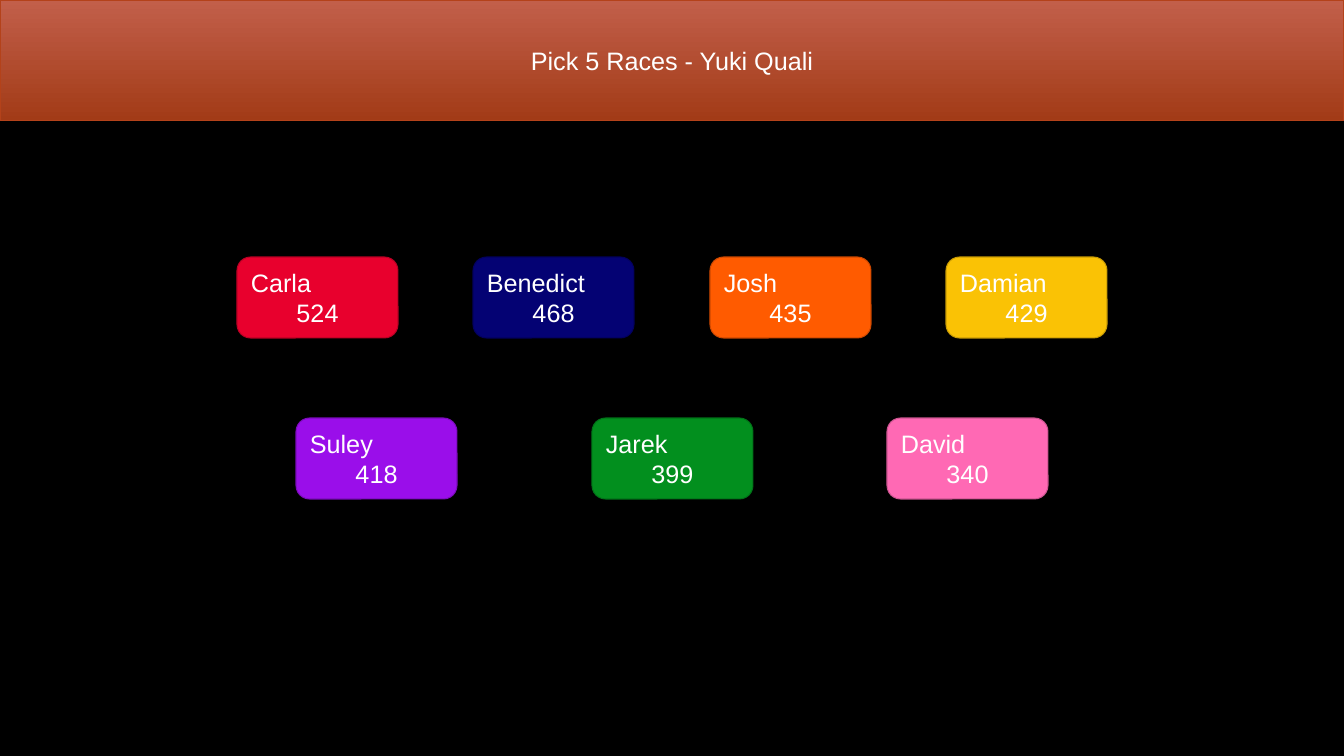
from pptx import Presentation
from pptx.dml.color import RGBColor
from pptx.enum.shapes import MSO_SHAPE
from pptx.enum.text import MSO_ANCHOR, PP_ALIGN
from pptx.util import Emu, Pt

SLIDE_WIDTH, SLIDE_HEIGHT = 1344, 756
EMU_PER_PX = 12192000 / SLIDE_WIDTH
CARD_WIDTH, CARD_HEIGHT = 161, 81
BANNER_HEIGHT = 121

BLACK = RGBColor(0x00, 0x00, 0x00)
WHITE = RGBColor(0xFF, 0xFF, 0xFF)
BANNER_TOP = RGBColor(0xC2, 0x5F, 0x4A)
BANNER_BOTTOM = RGBColor(0xA2, 0x3B, 0x17)
BANNER_LINE = RGBColor(0xB4, 0x42, 0x1A)
RED = RGBColor(0xE8, 0x00, 0x2D)
NAVY = RGBColor(0x04, 0x02, 0x73)
ORANGE = RGBColor(0xFF, 0x5B, 0x00)
YELLOW = RGBColor(0xFA, 0xC2, 0x05)
PURPLE = RGBColor(0x9A, 0x0E, 0xEA)
GREEN = RGBColor(0x02, 0x8F, 0x1E)
PINK = RGBColor(0xFF, 0x69, 0xB4)

STANDINGS = [
    (257, [("Carla", 524, RED), ("Benedict", 468, NAVY),
           ("Josh", 435, ORANGE), ("Damian", 429, YELLOW)]),
    (418, [("Suley", 418, PURPLE), ("Jarek", 399, GREEN), ("David", 340, PINK)]),
]


def px(length):
    return Emu(round(length * EMU_PER_PX))


def add_box(preset, left, top, width, height, line_color, lines):
    shape = slide.shapes.add_shape(preset, px(left), px(top), px(width), px(height))
    shape.shadow.inherit = False
    shape.line.color.rgb = line_color
    shape.line.width = Pt(0.75)
    frame = shape.text_frame
    frame.word_wrap = True
    frame.vertical_anchor = MSO_ANCHOR.MIDDLE
    for index, (text, alignment) in enumerate(lines):
        paragraph = frame.add_paragraph() if index else frame.paragraphs[0]
        paragraph.text = text
        paragraph.alignment = alignment
        paragraph.font.name = "Arial"
        paragraph.font.size = Pt(18)
        paragraph.font.color.rgb = WHITE
    return shape


presentation = Presentation()
presentation.slide_width = px(SLIDE_WIDTH)
presentation.slide_height = px(SLIDE_HEIGHT)
slide = presentation.slides.add_slide(presentation.slide_layouts[6])
slide.background.fill.solid()
slide.background.fill.fore_color.rgb = BLACK

for top, players in STANDINGS:
    step = (SLIDE_WIDTH - CARD_WIDTH) / (len(players) + 1)
    for position, (name, points, color) in enumerate(players, start=1):
        darker = RGBColor(*(channel * 4 // 5 for channel in color))
        card = add_box(MSO_SHAPE.ROUNDED_RECTANGLE, round(position * step), top,
                       CARD_WIDTH, CARD_HEIGHT, darker,
                       [(name, PP_ALIGN.LEFT), (str(points), PP_ALIGN.CENTER)])
        card.fill.solid()
        card.fill.fore_color.rgb = color

banner = add_box(MSO_SHAPE.RECTANGLE, 0, 0, SLIDE_WIDTH, BANNER_HEIGHT, BANNER_LINE,
                 [("Pick 5 Races - Yuki Quali", PP_ALIGN.CENTER)])
banner.fill.gradient()
banner.fill.gradient_angle = 270
for stop, color in zip(banner.fill.gradient_stops, (BANNER_TOP, BANNER_BOTTOM)):
    stop.color.rgb = color

presentation.save("out.pptx")
